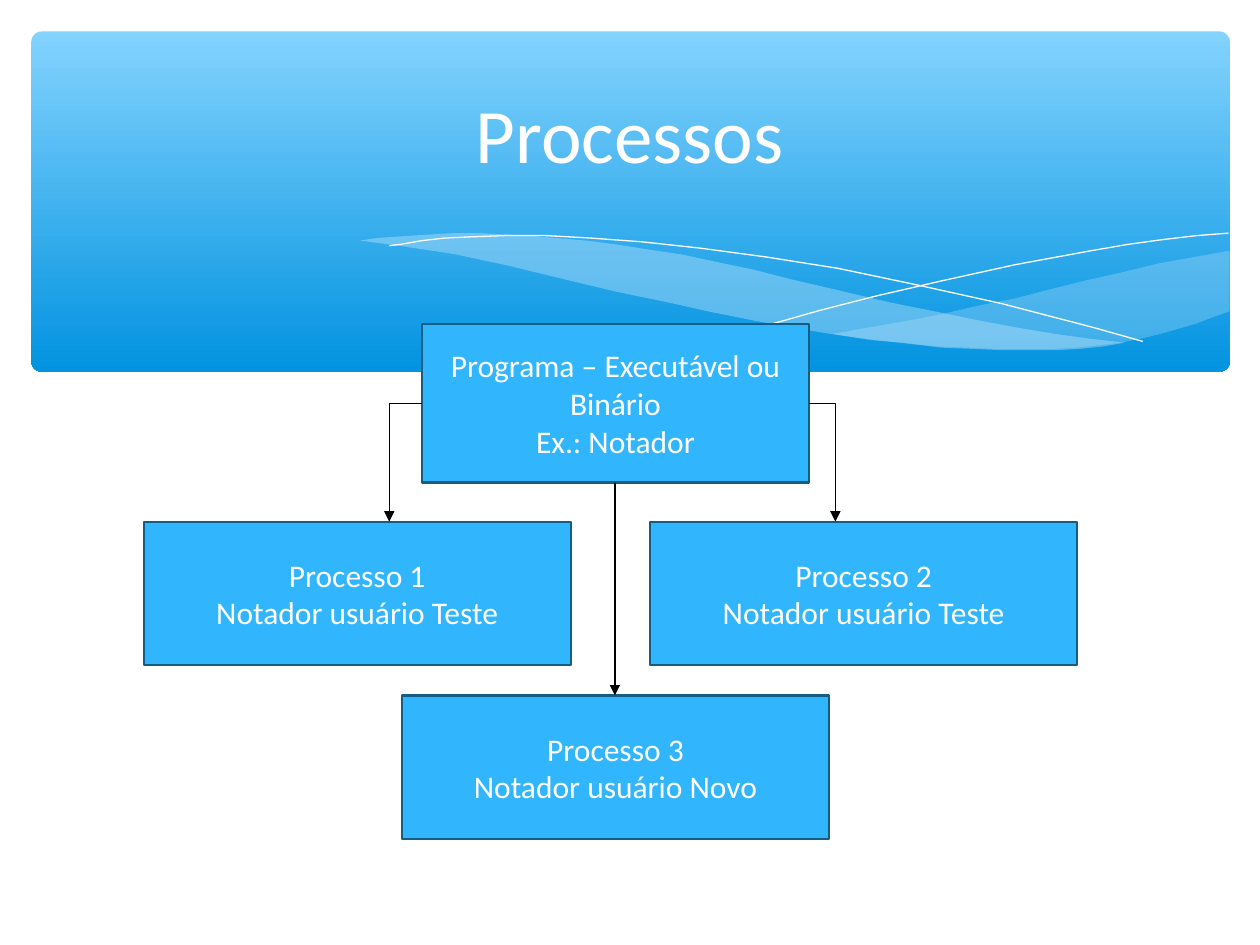
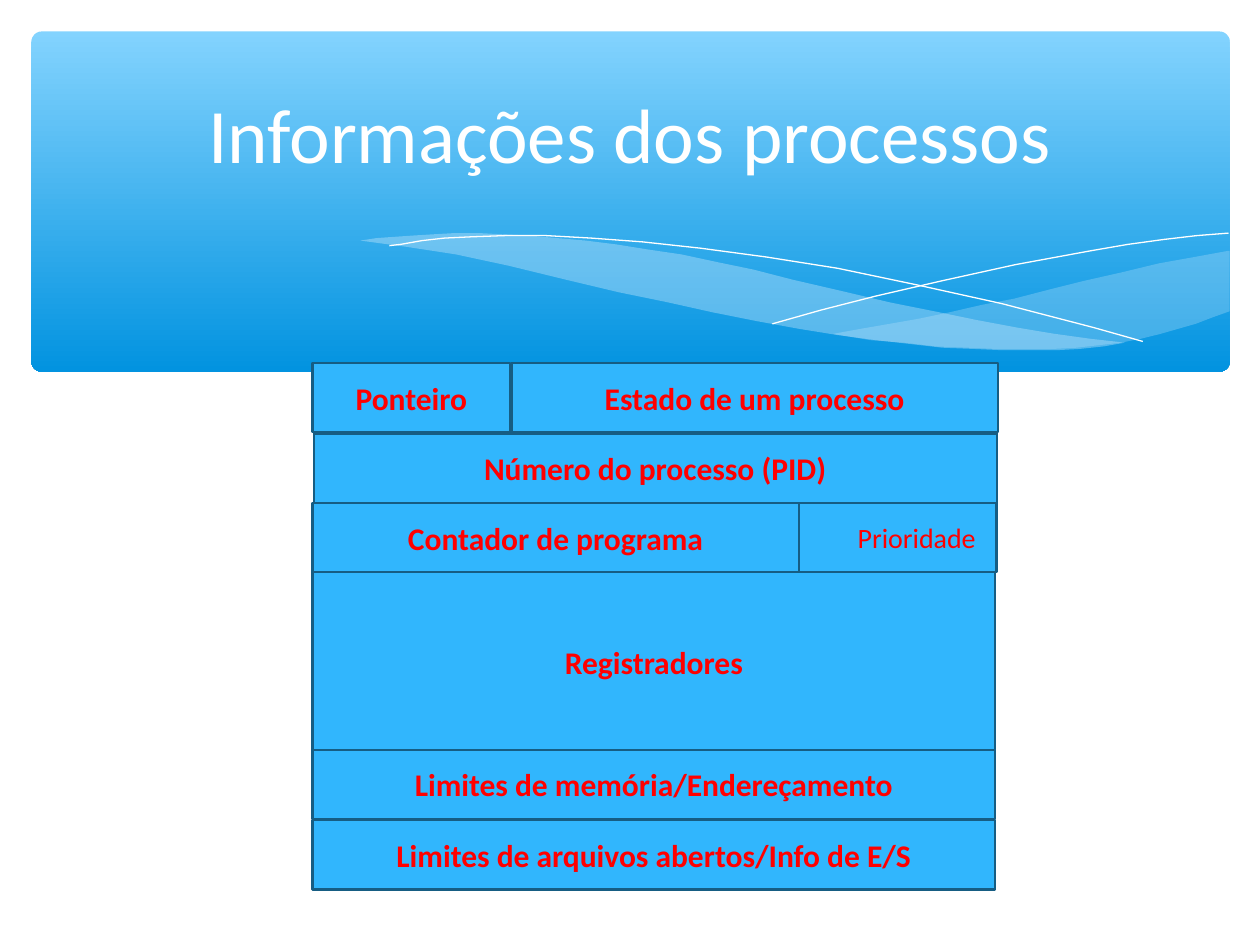
"""Build two slides on operating system processes, with a shared wave banner."""
import dataclasses

import pptx
import pptx.dml.color
import pptx.enum.dml
import pptx.enum.shapes
import pptx.enum.text
import pptx.oxml.ns
import pptx.util
from lxml import etree

PX = 9144
SHAPE = pptx.enum.shapes.MSO_SHAPE
LINK = pptx.enum.shapes.MSO_CONNECTOR
RGB = pptx.dml.color.RGBColor.from_string
PT = pptx.util.Pt
QN = pptx.oxml.ns.qn


@dataclasses.dataclass(frozen=True)
class Theme:
    font: str = "Calibri"
    white: str = "FFFFFF"
    black: str = "000000"
    red: str = "FF0000"
    sky: str = "83D3FE"
    deep: str = "0293E0"
    wave: str = "C6E7FC"
    box: str = "31B6FD"
    edge: str = "165D83"
    title: int = 44
    body: int = 18
    small: int = 16
    rim: float = 1.25
    thin: float = 0.75


look = Theme()


def write(shape, text, size, color, bold=False):
    frame = shape.text_frame
    frame.word_wrap = True
    frame.vertical_anchor = pptx.enum.text.MSO_ANCHOR.MIDDLE
    frame.text = text
    for para in frame.paragraphs:
        para.alignment = pptx.enum.text.PP_ALIGN.CENTER
        para.font.name = look.font
        para.font.size = PT(size)
        para.font.bold = bold
        para.font.color.rgb = RGB(color)


def block(slide, area, text, color, size=look.body, bold=False):
    shape = slide.shapes.add_shape(SHAPE.RECTANGLE, *[n * PX for n in area])
    shape.shadow.inherit = False
    shape.fill.solid()
    shape.fill.fore_color.rgb = RGB(look.box)
    shape.line.color.rgb = RGB(look.edge)
    shape.line.width = PT(look.rim)
    write(shape, text, size, color, bold)
    return shape


right = [
    (975, 199), (948, 204), (920, 209), (891, 216), (860, 223), (832, 230),
    (805, 237), (779, 242), (753, 248), (729, 253), (706, 257), (683, 261),
    (661, 265), (691, 270), (718, 272), (744, 275), (769, 276), (792, 277),
    (814, 277), (834, 277), (854, 276), (872, 274), (889, 272), (905, 269),
    (921, 265), (935, 261), (949, 257), (962, 252), (976, 247), (976, 199),
]
left = [
    (893, 272), (866, 269), (837, 265), (807, 260), (775, 254), (741, 247),
    (706, 240), (668, 231), (629, 222), (598, 214), (569, 208), (541, 202),
    (514, 198), (489, 194), (465, 191), (442, 189), (420, 187), (399, 186),
    (380, 185), (361, 185), (344, 186), (328, 187), (313, 188), (299, 189),
    (286, 191), (323, 196), (362, 202), (404, 211), (449, 222), (491, 232),
    (530, 240), (566, 248), (601, 255), (634, 261), (665, 266), (695, 270),
    (722, 273), (748, 276), (773, 277), (796, 278), (818, 278), (838, 278),
    (857, 277), (876, 275),
]
fall = [
    (309, 195), (318, 194), (335, 191), (353, 189), (374, 188), (401, 187),
    (433, 187), (469, 189), (510, 192), (556, 197), (608, 204), (665, 213),
    (727, 226), (795, 241), (868, 260), (907, 271),
]
rise = [
    (613, 257), (652, 246), (695, 235), (747, 223), (806, 210), (866, 199),
    (895, 194), (924, 190), (950, 187), (975, 185),
]

deck = pptx.Presentation()
deck.slide_width = 1000 * PX
deck.slide_height = 750 * PX

pages = []
for name in ("Processos", "Informações dos processos"):
    slide = deck.slides.add_slide(deck.slide_layouts[6])
    pages.append(slide)

    band = slide.shapes.add_shape(
        SHAPE.ROUNDED_RECTANGLE, 25 * PX, 25 * PX, 951 * PX, 270 * PX)
    band.adjustments[0] = 0.03
    band.shadow.inherit = False
    band.line.fill.background()
    band.fill.gradient()
    band.fill.gradient_angle = 270
    for stop, color, place in zip(
            band.fill.gradient_stops, (look.sky, look.deep), (0, 1)):
        stop.color.rgb = RGB(color)
        stop.position = place

    for knots, alpha in ((right, 29), (left, 40), (fall, 0), (rise, 0)):
        pen = slide.shapes.build_freeform(*knots[0], scale=PX)
        pen.add_line_segments(knots[1:], close=alpha > 0)
        curve = pen.convert_to_shape()
        curve.shadow.inherit = False
        if alpha:
            curve.line.fill.background()
            curve.fill.solid()
            curve.fill.fore_color.rgb = RGB(look.wave)
            tint = curve.element.spPr.find(".//" + QN("a:srgbClr"))
            etree.SubElement(tint, QN("a:alpha"), val=str(alpha * 1000))
        else:
            curve.fill.background()
            curve.line.color.rgb = RGB(look.white)
            curve.line.width = PT(look.thin)

    head = slide.shapes.add_textbox(50 * PX, 37 * PX, 900 * PX, 137 * PX)
    write(head, name, look.title, look.white)

flow, info = pages

block(flow, (335, 257, 307, 126),
      "Programa – Executável ou Binário\nEx.: Notador", look.white)
for num, (x, y, user) in enumerate(
        ((114, 414, "Teste"), (516, 414, "Teste"), (319, 552, "Novo")), 1):
    block(flow, (x, y, 339, 114),
          f"Processo {num}\nNotador usuário {user}", look.white)

for kind, ends in (
        (LINK.STRAIGHT, (488, 383, 488, 552)),
        (LINK.ELBOW, (335, 320, 309, 414)),
        (LINK.ELBOW, (642, 320, 663, 414))):
    link = flow.shapes.add_connector(kind, *[n * PX for n in ends])
    link.line.color.rgb = RGB(look.black)
    link.line.width = PT(look.thin)
    props = link._element.spPr
    if kind == LINK.ELBOW:
        props.find(QN("a:prstGeom")).set("prst", "bentConnector2")
    etree.SubElement(props.find(QN("a:ln")), QN("a:tailEnd"), type="triangle")
    etree.SubElement(props, QN("a:effectLst"))

for x, y, wide, high, text in (
        (248, 288, 157, 55, "Ponteiro"),
        (406, 288, 386, 55, "Estado de um processo"),
        (249, 344, 542, 55, "Número do processo (PID)"),
        (248, 399, 386, 55, "Contador de programa"),
        (248, 454, 542, 143, "Registradores"),
        (248, 595, 542, 55, "Limites de memória/Endereçamento"),
        (248, 651, 542, 55, "Limites de arquivos abertos/Info de E/S")):
    block(info, (x, y, wide, high), text, look.red, bold=True)

rank = block(info, (634, 399, 157, 55), "Prioridade", look.red, look.small)
rank.text_frame.margin_left = 40 * PX
rank.text_frame.paragraphs[0].space_before = PT(4)

deck.save("out.pptx")
